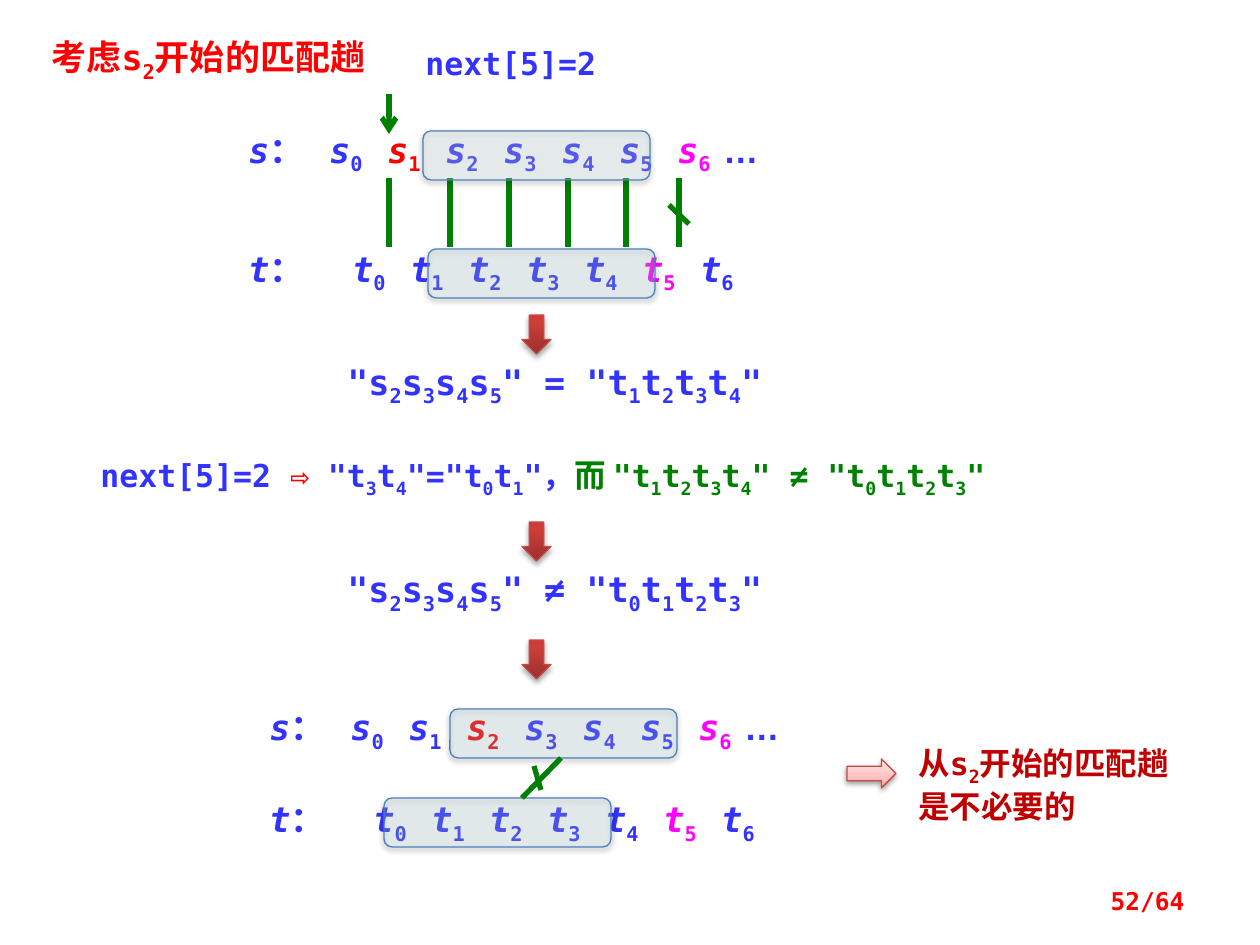
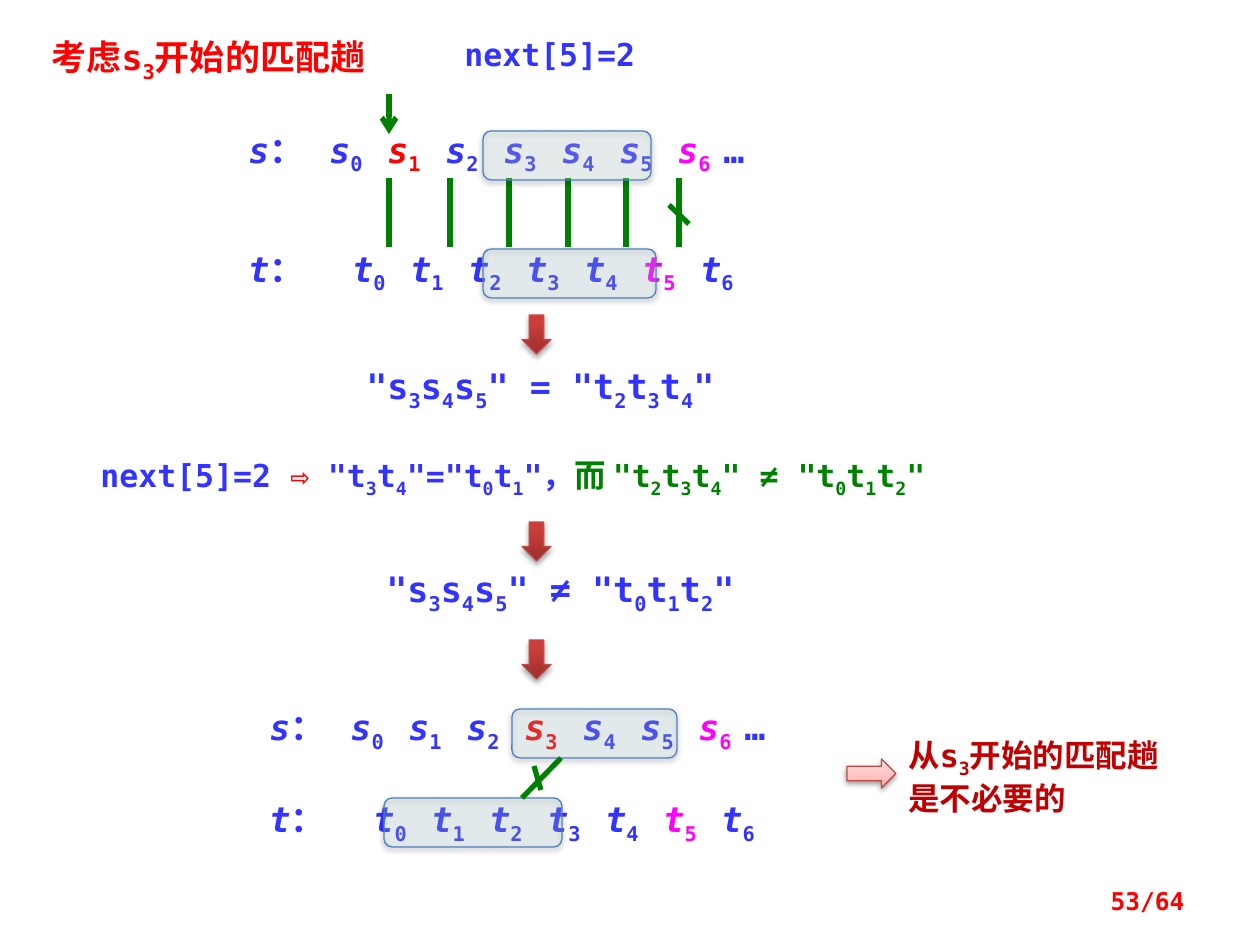
from lxml import etree
from pptx import Presentation
from pptx.dml.color import RGBColor
from pptx.enum.shapes import MSO_CONNECTOR, MSO_SHAPE
from pptx.enum.text import MSO_ANCHOR, MSO_AUTO_SIZE, PP_ALIGN
from pptx.oxml import parse_xml
from pptx.oxml.ns import nsdecls, qn
from pptx.util import Pt

PX = 914400 / 126
MONO, SANS = "DejaVu Sans Mono", "Arial"

RED = RGBColor(0xFF, 0x00, 0x00)
BLUE = RGBColor(0x33, 0x33, 0xFF)
GREEN = RGBColor(0x00, 0x80, 0x00)
MAGENTA = RGBColor(0xFF, 0x00, 0xFF)
DARK_RED = RGBColor(0xC0, 0x00, 0x00)
PALE_BLUE = RGBColor(0xDB, 0xEE, 0xF4)
LIGHT_BLUE = RGBColor(0xB7, 0xDE, 0xE8)
BOX_EDGE = RGBColor(0x4B, 0x7E, 0xBC)
ARROW_EDGE = RGBColor(0xBF, 0x4C, 0x48)
RED_GRADIENT = [(0, "9C2F2D"), (80, "CB3E3A"), (100, "CE3B37")]
PINK_GRADIENT = [(0, "FFA6A5"), (35, "FFC0BF"), (100, "FFE7E7")]

# What differs between the slides; windows are (left, width) of the four boxes.
PASSES = [
    dict(start=2, page="52/64", ellipsis_font=SANS, next_at=(413, 38),
         windows=[(423, 227), (428, 227), (450, 227), (384, 227)],
         equal_at=(335, 354, 472), unequal_at=(335, 561, 472),
         conclusion_at=(906, 738)),
    dict(start=3, page="53/64", ellipsis_font=MONO, next_at=(452, 29),
         windows=[(483, 168), (483, 173), (512, 165), (384, 178)],
         equal_at=(354, 358, 374), unequal_at=(374, 561, 384),
         conclusion_at=(896, 730)),
]
WINDOW_STYLES = [(131, PALE_BLUE, 23), (249, LIGHT_BLUE, 20),
                 (709, LIGHT_BLUE, 20), (798, LIGHT_BLUE, 20)]
MATCH_XS = [389, 450, 509, 568, 626, 679]
DOWN_ARROW_YS = [315, 522, 640]
MISMATCH = 5  # index in t where the match fails
LAST = 6
PITCH = 58
S_OFFSET, T_OFFSET, ELLIPSIS_OFFSET = 81, 104, 475


def px(*lengths):
    return [round(length * PX) for length in lengths]


def add_run(paragraph, text, size, color, bold, font, italic=False, sub=False):
    run = paragraph.add_run()
    run.text = text
    run.font.size, run.font.bold, run.font.italic = Pt(size), bold, italic
    run.font.name = font
    run.font.color.rgb = color
    if sub:
        run._r.get_or_add_rPr().set("baseline", "-25000")


def add_text(slide, parts, box, size=20, color=BLUE, bold=True, align=None,
             anchor=MSO_ANCHOR.TOP, line_spacing=None, tabs=()):
    """Write parts, each a string or a dict; "_" lowers the character after it."""
    frame = slide.shapes.add_textbox(*px(*box)).text_frame
    frame.word_wrap = True
    frame.vertical_anchor = anchor
    if anchor == MSO_ANCHOR.TOP:
        frame.auto_size = MSO_AUTO_SIZE.SHAPE_TO_FIT_TEXT
    paragraph = frame.paragraphs[0]
    paragraph.alignment = align
    if line_spacing:
        paragraph.line_spacing = Pt(line_spacing)
    if tabs:
        tab_list = etree.SubElement(paragraph._p.get_or_add_pPr(), qn("a:tabLst"))
        for position in px(*tabs):
            etree.SubElement(tab_list, qn("a:tab"), pos=str(position), algn="l")
    for part in [parts] if isinstance(parts, str) else parts:
        part = {"text": part} if isinstance(part, str) else part
        style = dict(size=size, color=part.get("color", color), bold=bold,
                     font=part.get("font", MONO))
        head, *lowered = part["text"].split("_")
        if head:
            add_run(paragraph, head, italic=part.get("italic", False), **style)
        for piece in lowered:
            add_run(paragraph, piece[0], sub=True, **style)
            if piece[1:]:
                add_run(paragraph, piece[1:], **style)


def add_shadow(shape, opacity, distance):
    shape.shadow.inherit = False
    effects = shape._element.spPr.find(qn("a:effectLst"))
    effects.append(parse_xml(
        f'<a:outerShdw {nsdecls("a")} blurRad="{Pt(3.1)}" dist="{Pt(distance)}" '
        f'dir="5400000" rotWithShape="0"><a:srgbClr val="000000">'
        f'<a:alpha val="{opacity * 1000}"/></a:srgbClr></a:outerShdw>'))


def add_window(slide, box, color, opacity):
    """Translucent rounded box over the compared characters."""
    window = slide.shapes.add_shape(MSO_SHAPE.ROUNDED_RECTANGLE, *px(*box))
    window.fill.solid()
    window.fill.fore_color.rgb = color
    rgb = window._element.spPr.find(qn("a:solidFill"))[0]
    etree.SubElement(rgb, qn("a:alpha"), val=str(opacity * 1000))
    window.line.color.rgb = BOX_EDGE
    window.line.width = Pt(0.75)
    add_shadow(window, 38, 1.6)


def add_block_arrow(slide, kind, box, gradient, shadow):
    arrow = slide.shapes.add_shape(kind, *px(*box))
    stops = "".join(f'<a:gs pos="{at * 1000}"><a:srgbClr val="{color}"/></a:gs>'
                    for at, color in gradient)
    arrow._element.spPr.find(qn("a:prstGeom")).addnext(parse_xml(
        f'<a:gradFill {nsdecls("a")} rotWithShape="1"><a:gsLst>{stops}</a:gsLst>'
        f'<a:lin ang="16200000" scaled="0"/></a:gradFill>'))
    arrow.line.color.rgb = ARROW_EDGE
    arrow.line.width = Pt(0.75)
    add_shadow(arrow, *shadow)


def add_line(slide, ends, arrowhead=False):
    line = slide.shapes.add_connector(MSO_CONNECTOR.STRAIGHT, *px(*ends))
    line.line.color.rgb = GREEN
    line.line.width = Pt(3)
    if arrowhead:
        etree.SubElement(line.line._get_or_add_ln(), qn("a:tailEnd"), type="arrow")
    etree.SubElement(line._element.spPr, qn("a:effectLst"))


def add_sequence(slide, letter, left, top, offset, colors, ellipsis_font=None):
    """One row such as s： s0 s1 … with its characters on equal tab stops."""
    parts = [dict(text=letter, italic=True), "："]
    parts += [dict(text=f"\t{letter}_{i}", italic=True, color=colors.get(i, BLUE))
              for i in range(LAST + 1)]
    tabs = [offset + i * PITCH for i in range(LAST + 1)]
    if ellipsis_font:
        parts.append(dict(text="\t…", font=ellipsis_font))
        tabs.append(ELLIPSIS_OFFSET)
    add_text(slide, parts, (left, top, 591, 55), tabs=tabs)


def quoted(letter, first, last):
    return '"' + "".join(f"{letter}_{i}" for i in range(first, last + 1)) + '"'


def add_pass(deck, start, page, ellipsis_font, next_at, windows, equal_at,
             unequal_at, conclusion_at):
    slide = deck.slides.add_slide(deck.slide_layouts[6])
    s_part = quoted("s", start, MISMATCH)
    t_part = quoted("t", start - 1, MISMATCH - 1)
    t_prefix = quoted("t", 0, MISMATCH - start)
    known_next = "next[5]=2"

    add_text(slide, f"考虑s_{start}开始的匹配趟", (39, 29, 374, 55), color=RED)
    add_text(slide, known_next, (*next_at, 207, 50), size=18)

    for left, s_top, t_top, red_index in [(236, 122, 241, 1), (257, 699, 791, start)]:
        add_sequence(slide, "s", left, s_top, S_OFFSET,
                     {red_index: RED, LAST: MAGENTA}, ellipsis_font)
        add_sequence(slide, "t", left, t_top, T_OFFSET, {MISMATCH: MAGENTA})

    add_line(slide, (389, 94, 389, 134), arrowhead=True)
    for x in MATCH_XS:
        add_line(slide, (x, 178, x, 247))
    add_line(slide, (669, 205, 689, 224))

    for (left, width), (top, color, opacity) in zip(windows, WINDOW_STYLES):
        add_window(slide, (left, top, width, 49), color, opacity)
    add_line(slide, (561, 758, 522, 798))
    add_line(slide, (534, 766, 541, 790))

    add_text(slide, f"{s_part} = {t_part}", (*equal_at, 55))
    add_text(slide, [f"{known_next} ", dict(text="⇨", color=RED),
                     f' {quoted("t", 3, 4)}={quoted("t", 0, 1)}，',
                     dict(text=f"而 {t_part} ≠ {t_prefix}", color=GREEN)],
             (88, 444, 925, 58), size=18, line_spacing=28)
    add_text(slide, f"{s_part} ≠ {t_prefix}", (*unequal_at, 55))
    for top in DOWN_ARROW_YS:
        add_block_arrow(slide, MSO_SHAPE.DOWN_ARROW, (522, top, 29, 39),
                        RED_GRADIENT, (35, 1.8))

    add_block_arrow(slide, MSO_SHAPE.RIGHT_ARROW, (847, 759, 49, 29),
                    PINK_GRADIENT, (38, 1.6))
    add_text(slide, f"从s_{start}开始的匹配趟是不必要的", (*conclusion_at, 305, 89),
             size=18, color=DARK_RED)
    add_text(slide, page, (903, 876, 294, 50), size=14, color=RED,
             align=PP_ALIGN.RIGHT, anchor=MSO_ANCHOR.MIDDLE)


def main():
    deck = Presentation()
    deck.slide_width, deck.slide_height = px(1260, 945)
    for matching_pass in PASSES:
        add_pass(deck, **matching_pass)
    deck.save("out.pptx")


if __name__ == "__main__":
    main()
